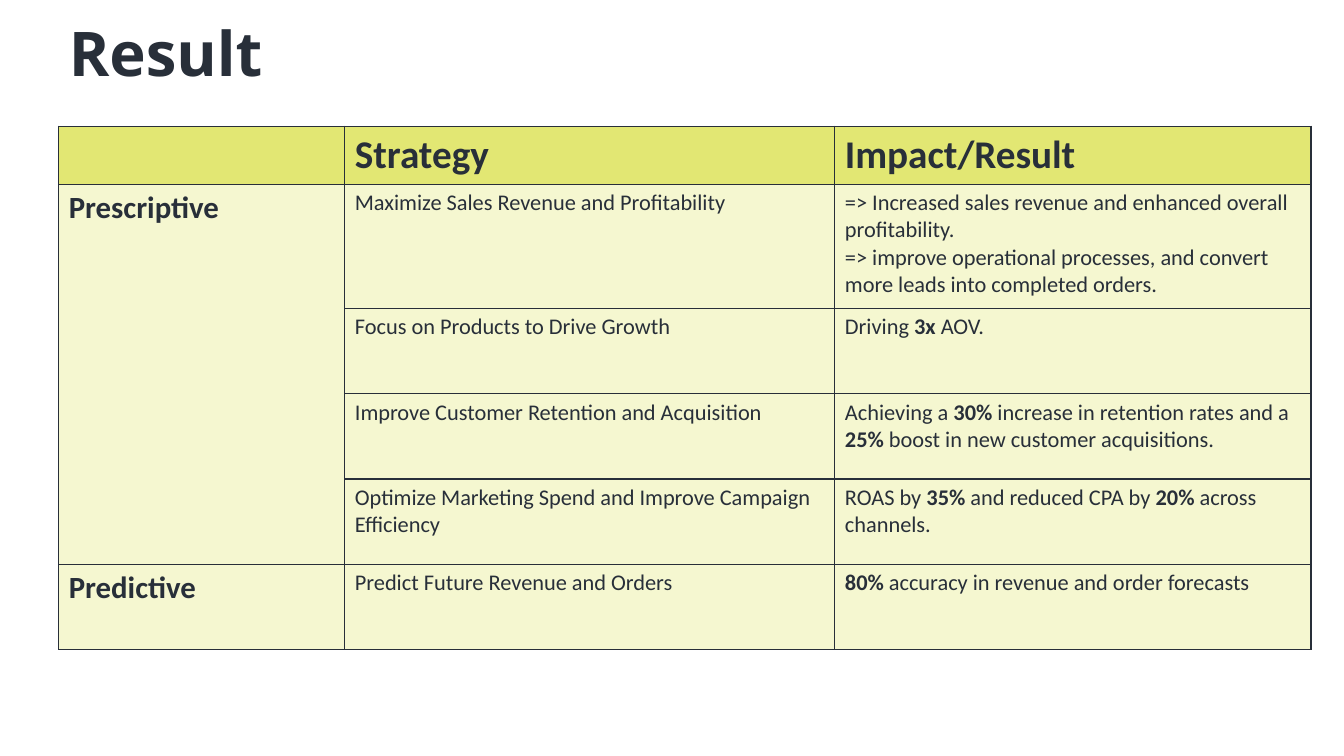
"""Build the Result slide with its strategy and impact table."""
from lxml import etree
from pptx import Presentation
from pptx.dml.color import RGBColor
from pptx.enum import text
from pptx.oxml import ns
from pptx.util import Cm, Pt

COLORS = {"ink": "282F39", "header": "E2E773", "body": "F5F7D0", "page": "FFFFFF"}
COLUMN_WIDTHS = [7.21, 12.35, 12.0]
ROW_HEIGHTS = [1.46, 3.13] + [2.15] * 4
ROWS = [
    ["", "**Strategy**", "**Impact/Result**"],
    ["**Prescriptive**", "Maximize Sales Revenue and Profitability",
     "=> Increased sales revenue and enhanced overall profitability.\n"
     "=> improve operational processes, and convert more leads into completed orders."],
    ["", "Focus on Products to Drive Growth", "Driving **3x** AOV."],
    ["", "Improve Customer Retention and Acquisition",
     "Achieving a **30%** increase in retention rates and a **25%** boost in new customer acquisitions."],
    ["", "Optimize Marketing Spend and Improve Campaign Efficiency",
     "ROAS by **35% **and reduced CPA by **20%** across channels."],
    ["**Predictive**", "Predict Future Revenue and Orders",
     "**80% **accuracy in revenue and order forecasts"],
]


def add_span(para, wording, size, font, bold):
    span = para.add_run()
    span.text = wording
    span.font.size = Pt(size)
    span.font.name = font
    span.font.bold = bold
    span.font.color.rgb = RGBColor.from_string(COLORS["ink"])


def add_borders(cell):
    properties = cell._tc.get_or_add_tcPr()
    for position, side in enumerate(["lnL", "lnR", "lnT", "lnB"]):
        line = etree.Element(ns.qn("a:" + side), w=str(Pt(1)))
        fill = etree.SubElement(line, ns.qn("a:solidFill"))
        etree.SubElement(fill, ns.qn("a:srgbClr"), val=COLORS["ink"])
        properties.insert(position, line)


deck = Presentation()
deck.slide_width, deck.slide_height = Cm(33.87), Cm(19.05)
page = deck.slides.add_slide(deck.slide_layouts[5])
page.background.fill.solid()
page.background.fill.fore_color.rgb = RGBColor.from_string(COLORS["page"])

title = page.shapes.title
title.left, title.top, title.width, title.height = Cm(1.48), Cm(-0.41), Cm(29.21), Cm(3.68)
title.text_frame.vertical_anchor = text.MSO_ANCHOR.MIDDLE
para = title.text_frame.paragraphs[0]
para.alignment = text.PP_ALIGN.LEFT
para.line_spacing = 0.9
add_span(para, "Result", 44, "Noto Sans", True)

frame = page.shapes.add_table(len(ROWS), len(COLUMN_WIDTHS), Cm(1.48), Cm(3.18),
                              Cm(sum(COLUMN_WIDTHS)), Cm(sum(ROW_HEIGHTS)))
table = frame.table
for column, width in zip(table.columns, COLUMN_WIDTHS):
    column.width = Cm(width)
for row, height in zip(table.rows, ROW_HEIGHTS):
    row.height = Cm(height)
table.cell(1, 0).merge(table.cell(4, 0))

for row_index, row in enumerate(ROWS):
    is_header = row_index == 0
    for column_index, wording in enumerate(row):
        cell = table.cell(row_index, column_index)
        cell.fill.solid()
        cell.fill.fore_color.rgb = RGBColor.from_string(COLORS["header" if is_header else "body"])
        cell.vertical_anchor = text.MSO_ANCHOR.MIDDLE if is_header else text.MSO_ANCHOR.TOP
        add_borders(cell)
        size = 28 if is_header else 22 if column_index == 0 else 16
        para = cell.text_frame.paragraphs[0]
        for line_index, line in enumerate(wording.split("\n")):
            if line_index:
                para.add_line_break()
            for part_index, part in enumerate(line.split("**")):
                if part:
                    add_span(para, part, size, "Calibri", part_index % 2 == 1)

deck.save("out.pptx")
